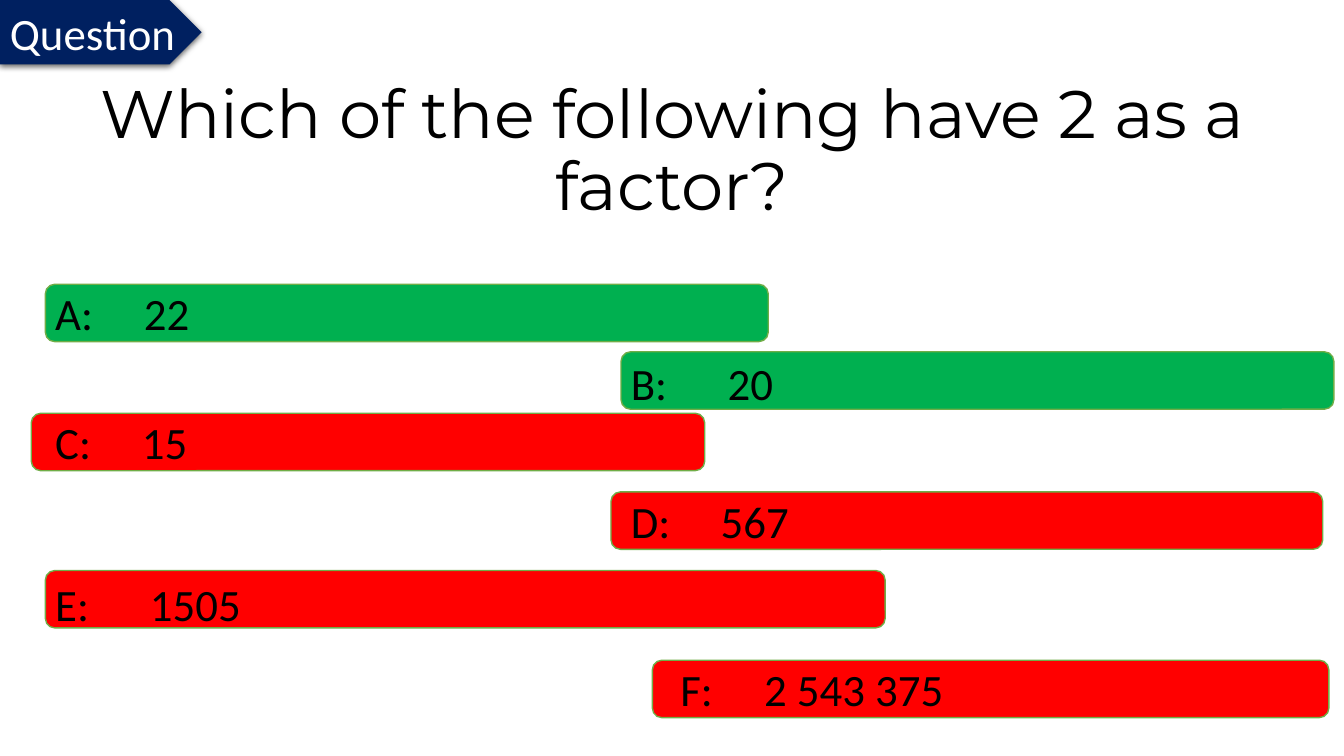
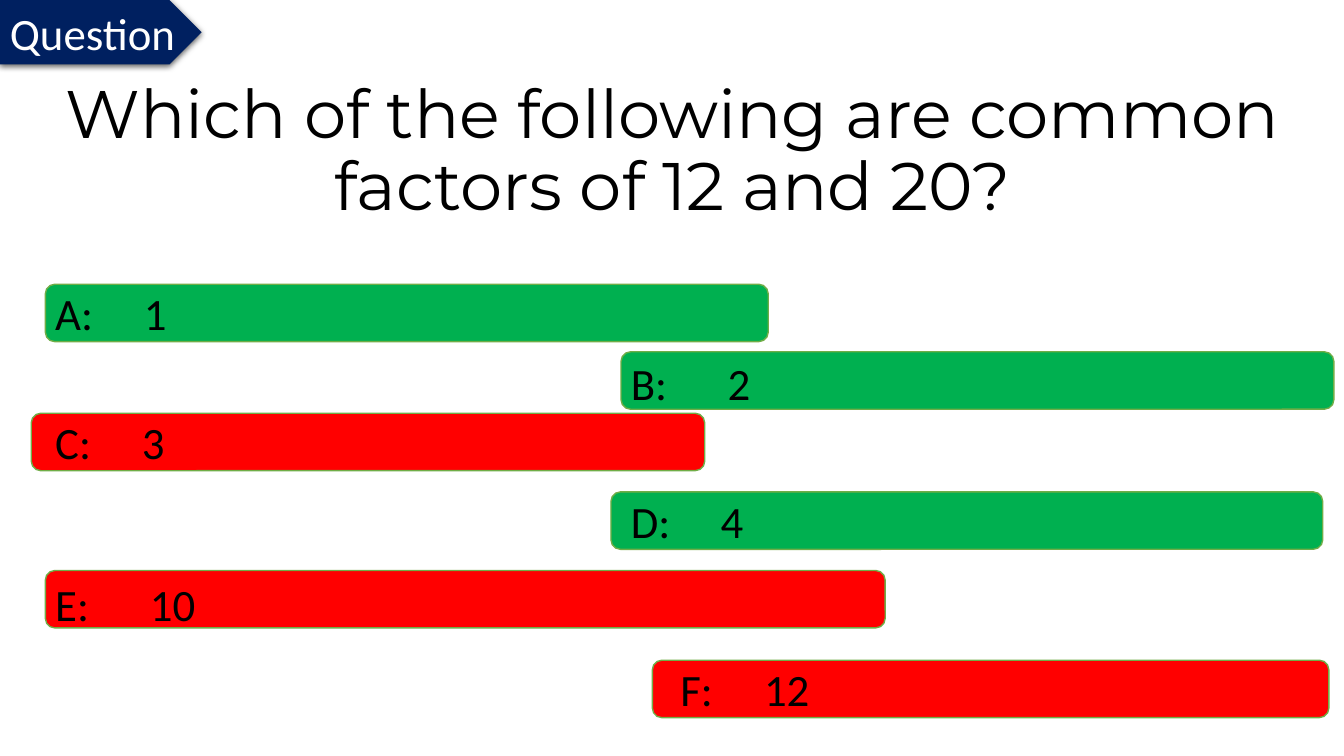
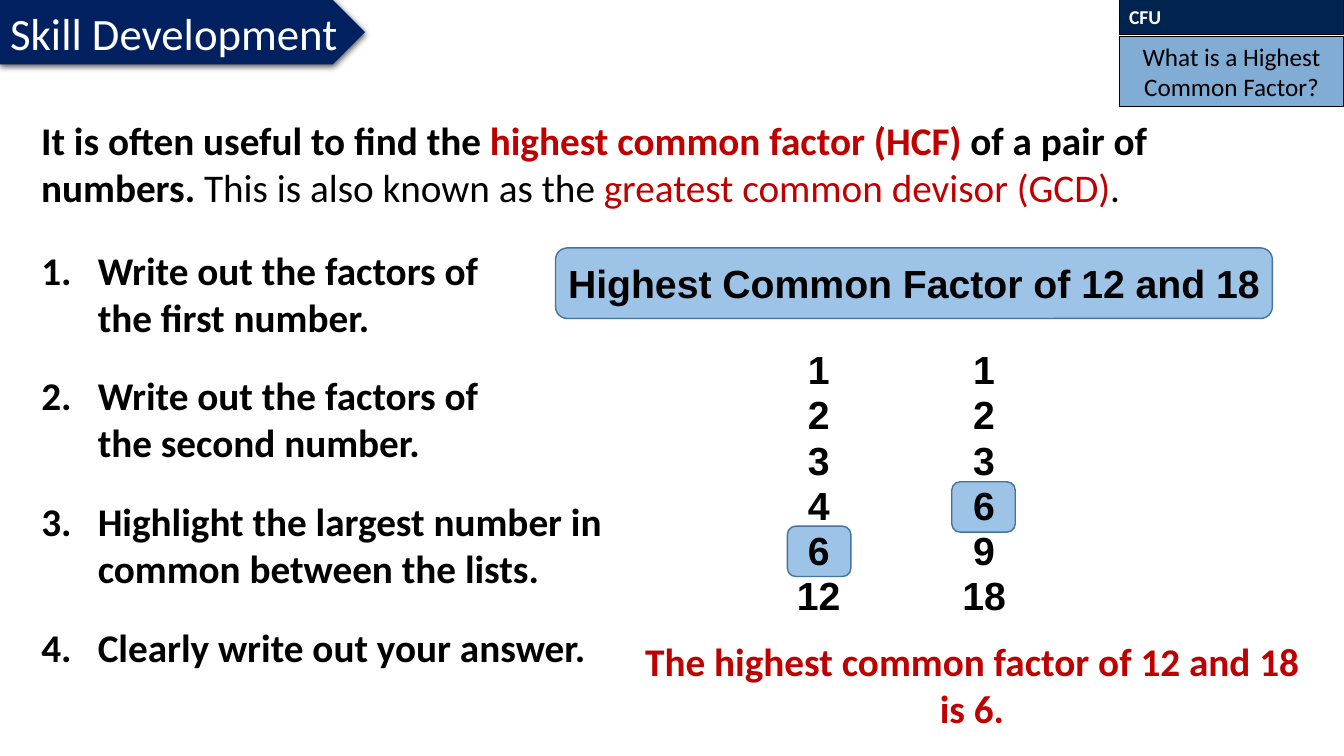
from lxml.etree import SubElement
from pptx import Presentation
from pptx.dml.color import RGBColor
from pptx.enum.shapes import MSO_SHAPE
from pptx.enum.text import MSO_ANCHOR, MSO_AUTO_SIZE, PP_ALIGN
from pptx.oxml.ns import qn
from pptx.util import Inches, Pt

COLORS = {
    "black": "000000", "white": "FFFFFF", "navy": "002060", "dark": "01244E",
    "right": "00B050", "wrong": "FF0000", "edge": "70AD47",
    "sky": "9DC3E6", "rim": "43739E", "blue": "2E75B6", "key": "C00000",
}

QUIZZES = [
    ("Which of the following have 2 as a factor?",
     ["22", "20", "15", "567", "1505", "2 543 375"], "AB"),
    ("Which of the following are common factors of 12 and 20?",
     ["1", "2", "3", "4", "10", "12"], "ABD"),
]

BARS = {
    "A": {"at": (0.45, 2.82, 7.17), "pad": 0.07, "tab": 0.88, "drop": 0},
    "B": {"at": (6.16, 3.49, 7.07), "pad": 0.07, "tab": 0.96, "drop": 0.05},
    "C": {"at": (0.31, 4.1, 6.68), "pad": 0.21, "tab": 0.86, "drop": 0},
    "D": {"at": (6.06, 4.88, 7.06), "pad": 0.17, "tab": 0.89, "drop": 0},
    "E": {"at": (0.45, 5.66, 8.33), "pad": 0.07, "tab": 0.94, "drop": 0.09},
    "F": {"at": (6.47, 6.55, 6.71), "pad": 0.25, "tab": 0.83, "drop": 0},
}

INTRO = [
    ("It is often useful to find the ", True, "black"),
    ("highest common factor (HCF) ", True, "key"),
    ("of a pair of numbers.", True, "black"),
    (" This is also known as the ", False, "black"),
    ("greatest common devisor (GCD)", False, "key"),
    (".", False, "black"),
]

STEPS = [
    "Write out the factors of \vthe first number.",
    "Write out the factors of \vthe second number.",
    "Highlight the largest number in common between the lists.",
    "Clearly write out your answer.",
]

LISTS = [
    (7.1, ["1", "2", "3", "4", "6", "12"]),
    (8.74, ["1", "2", "3", "6", "9", "18"]),
]
MARKS = [(9.44, 4.78), (7.81, 5.22)]


def rgb(name):
    return RGBColor.from_string(COLORS[name])


def place(item, at):
    item.left, item.top, item.width, item.height = map(Inches, at)


def style(para, size, color="black", face="Calibri", bold=False, align=PP_ALIGN.LEFT):
    para.alignment = align
    font = para.font
    font.name, font.size, font.bold = face, Pt(size), bold
    font.color.rgb = rgb(color)


def write(item, lines, *args, **look):
    frame = item.text_frame
    frame.word_wrap = True
    frame.auto_size = MSO_AUTO_SIZE.NONE
    frame.text = "\n".join(lines)
    for para in frame.paragraphs:
        style(para, *args, **look)
    return frame


def shape(slide, kind, at, fill, line=None, width=1):
    item = slide.shapes.add_shape(kind, *map(Inches, at))
    item.shadow.inherit = False
    item.fill.solid()
    item.fill.fore_color.rgb = rgb(fill)
    if line:
        item.line.color.rgb = rgb(line)
        item.line.width = Pt(width)
    else:
        item.line.fill.background()
    return item


def alpha(node, pct):
    SubElement(node, qn("a:alpha"), val=str(pct * 1000))


def box(slide, at):
    return slide.shapes.add_textbox(*map(Inches, at))


def tag(slide, width):
    item = shape(slide, MSO_SHAPE.PENTAGON, (0, 0, width, 0.64), "navy")
    effect = item._element.spPr.find(qn("a:effectLst"))
    shade = SubElement(effect, qn("a:outerShdw"), blurRad=str(Pt(4.5)),
                       dist=str(Pt(1.5)), dir="5400000", algn="t", rotWithShape="0")
    alpha(SubElement(shade, qn("a:srgbClr"), val=COLORS["black"]), 63)
    return item


def bar(slide, name, value, good):
    left, top, width = BARS[name]["at"]
    item = shape(slide, MSO_SHAPE.ROUNDED_RECTANGLE, (left, top, width, 0.57),
                 "right" if good else "wrong", "edge")
    frame = item.text_frame
    frame.text = f"{name}:\t{value}"
    frame.word_wrap = True
    frame.margin_left = Inches(BARS[name]["pad"])
    frame.margin_top = Inches(BARS[name]["drop"])
    frame.margin_right = frame.margin_bottom = 0
    para = frame.paragraphs[0]
    tabs = SubElement(para._p.get_or_add_pPr(), qn("a:tabLst"))
    SubElement(tabs, qn("a:tab"), pos=str(Inches(BARS[name]["tab"])), algn="l")
    style(para, 32)


def quiz(deck, ask, values, good):
    slide = deck.slides.add_slide(deck.slide_layouts[5])
    title = slide.shapes.title
    place(title, (0.08, 0.79, 13.18, 1.45))
    frame = write(title, [ask], 48, face="Montserrat", align=PP_ALIGN.CENTER)
    frame.vertical_anchor = MSO_ANCHOR.MIDDLE
    frame.paragraphs[0].line_spacing = 0.9
    write(tag(slide, 2), ["Question"], 32, "white").word_wrap = False
    for name, value in zip(BARS, values):
        bar(slide, name, value, name in good)


def steps(body):
    place(body, (0.31, 2.39, 6.16, 4.4))
    frame = body.text_frame
    frame.text = "\n".join(STEPS)
    frame.auto_size = MSO_AUTO_SIZE.NONE
    for i, para in enumerate(frame.paragraphs):
        props = para._p.get_or_add_pPr()
        props.set("marL", str(Inches(0.56)))
        props.set("indent", str(Inches(-0.56)))
        SubElement(props, qn("a:buFont"), typeface="+mj-lt")
        SubElement(props, qn("a:buAutoNum"), type="arabicPeriod")
        para.space_before = Pt(22.5 if i else 0)
        style(para, 28, bold=True)


def check(slide):
    head = shape(slide, MSO_SHAPE.RECTANGLE, (11.1, 0, 2.23, 0.34), "dark", "black", 0.75)
    write(head, ["CFU"], 14, "white", bold=True)
    ask = shape(slide, MSO_SHAPE.RECTANGLE, (11.1, 0.36, 2.23, 0.7), "blue", "black", 0.75)
    alpha(ask._element.spPr.find(qn("a:solidFill"))[0], 60)
    write(ask, ["What is a Highest Common Factor?"], 18, align=PP_ALIGN.CENTER)


def skill(deck):
    slide = deck.slides.add_slide(deck.slide_layouts[1])
    steps(slide.placeholders[1])
    intro = box(slide, (0.31, 1.1, 11.87, 1.04)).text_frame
    intro.word_wrap = True
    para = intro.paragraphs[0]
    para.font.name, para.font.size = "Calibri", Pt(28)
    for text, bold, color in INTRO:
        run = para.add_run()
        run.text = text
        run.font.bold = bold
        run.font.color.rgb = rgb(color)

    mid = {"bold": True, "align": PP_ALIGN.CENTER}
    for left, top in MARKS:
        shape(slide, MSO_SHAPE.ROUNDED_RECTANGLE, (left, top, 0.63, 0.5), "sky", "rim")
    head = shape(slide, MSO_SHAPE.ROUNDED_RECTANGLE, (5.51, 2.46, 7.11, 0.7), "sky", "rim")
    frame = write(head, ["Highest Common Factor of 12 and 18"], 28, face="Arial", **mid)
    frame.margin_left = frame.margin_right = 0
    write(box(slide, (6.25, 6.27, 6.78, 1.04)),
          ["The highest common factor of 12 and 18 is 6."], 28, "key", **mid)
    for left, nums in LISTS:
        frame = write(box(slide, (left, 3.4, 2.04, 2.8)), nums, 28, face="Arial", **mid)
        for para in frame.paragraphs:
            para.line_spacing = Pt(32.2)

    tag(slide, 3.62)
    title = slide.shapes.title
    place(title, (0, 0, 3.62, 0.64))
    write(title, ["Skill Development"], 32, "white").vertical_anchor = MSO_ANCHOR.MIDDLE
    slide.shapes._spTree.append(title._element)
    check(slide)


def main():
    deck = Presentation()
    deck.slide_width, deck.slide_height = Inches(13.33), Inches(7.5)
    for ask, values, good in QUIZZES:
        quiz(deck, ask, values, good)
    skill(deck)
    deck.save("out.pptx")


if __name__ == "__main__":
    main()
